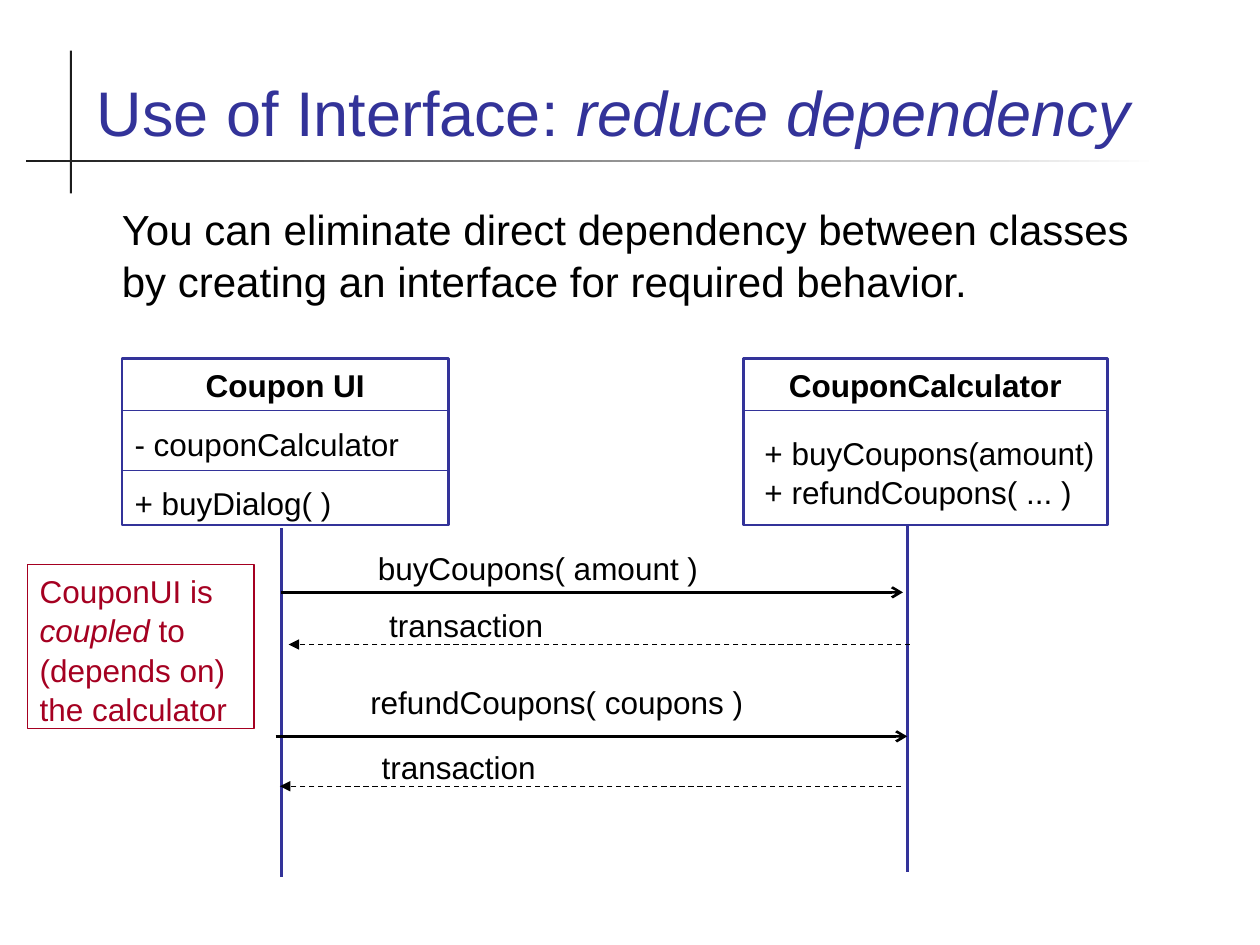
from typing import NamedTuple

from lxml.etree import SubElement
from pptx import Presentation
from pptx.dml.color import RGBColor
from pptx.enum.dml import MSO_LINE
from pptx.enum.shapes import MSO_CONNECTOR, MSO_SHAPE
from pptx.enum.text import MSO_ANCHOR, PP_ALIGN
from pptx.oxml.ns import qn
from pptx.util import Pt

FONT = "Arial"
LINE_SPACING = 1.04
BLUE, BLACK, RED, DARK, WHITE = "333399", "000000", "A50021", "1C1C1C", "FFFFFF"


class Run(NamedTuple):
    text: str
    italic: bool = False


class Para(NamedTuple):
    runs: list[Run]
    size: float = 18
    color: str = BLACK
    bold: bool = False
    align: PP_ALIGN = PP_ALIGN.LEFT
    before: float = 0


class Box(NamedTuple):
    x: float
    y: float
    w: float
    h: float


class ClassBox(NamedTuple):
    box: Box
    name: str
    members: list[str]
    dividers: list[float]


class Line(NamedTuple):
    x1: float
    y1: float
    x2: float
    y2: float
    color: str = BLUE
    width: float = 1.5
    arrow: str = ""
    dashed: bool = False


class Message(NamedTuple):
    text: str
    label: Box
    line: Line


def rgb(color: str) -> RGBColor:
    return RGBColor.from_string(color)


def write(s, paras: list[Para], anchor=MSO_ANCHOR.TOP) -> None:
    tf = s.text_frame
    tf.word_wrap = True
    tf.vertical_anchor = anchor
    for i, para in enumerate(paras):
        p = tf.paragraphs[0] if i == 0 else tf.add_paragraph()
        p.alignment = para.align
        p.space_before = Pt(para.before)
        p.line_spacing = LINE_SPACING
        p.font.name = FONT
        p.font.size = Pt(para.size)
        p.font.bold = para.bold
        p.font.color.rgb = rgb(para.color)
        for run in para.runs:
            for j, part in enumerate(run.text.split("\n")):
                if j:
                    p.add_line_break()
                r = p.add_run()
                r.text = part
                if run.italic:
                    r.font.italic = True


def add_text(sp, box: Box, paras: list[Para], anchor=MSO_ANCHOR.TOP) -> None:
    write(sp.add_textbox(*map(Pt, box)), paras, anchor)


def add_rect(sp, box: Box):
    s = sp.add_shape(MSO_SHAPE.RECTANGLE, *map(Pt, box))
    s.shadow.inherit = False
    return s


def add_frame(sp, box: Box, color: str, width: float, paras: list[Para]) -> None:
    s = add_rect(sp, box)
    s.fill.background()
    s.line.color.rgb = rgb(color)
    s.line.width = Pt(width)
    write(s, paras)


def add_line(sp, line: Line) -> None:
    ends = map(Pt, (line.x1, line.y1, line.x2, line.y2))
    s = sp.add_connector(MSO_CONNECTOR.STRAIGHT, *ends)
    s.line.color.rgb = rgb(line.color)
    s.line.width = Pt(line.width)
    if line.dashed:
        s.line.dash_style = MSO_LINE.DASH
    if line.arrow:
        SubElement(s.line._get_or_add_ln(), qn("a:tailEnd"), type=line.arrow)
    SubElement(s._element.spPr, qn("a:effectLst"))


def add_class(sp, c: ClassBox) -> None:
    title = Para([Run(c.name)], bold=True, align=PP_ALIGN.CENTER)
    members = [Para([Run(m)], before=11.2) for m in c.members]
    add_frame(sp, c.box, BLUE, 1.5, [title, *members])
    for y in c.dividers:
        add_line(sp, Line(c.box.x, y, c.box.x + c.box.w, y, width=0.75))


def add_message(sp, m: Message) -> None:
    add_line(sp, m.line)
    add_text(sp, m.label, [Para([Run(m.text)])])


def call(x1: float, x2: float, y: float) -> Line:
    return Line(x1, y, x2, y, BLACK, 1.5, "arrow")


def reply(x1: float, x2: float, y: float) -> Line:
    return Line(x1, y, x2, y, BLACK, 0.75, "triangle", True)


def add_title_rules(sp) -> None:
    upright = add_rect(sp, Box(40, 29, 1.2, 81.5))
    upright.fill.solid()
    upright.fill.fore_color.rgb = rgb(DARK)
    fading = add_rect(sp, Box(15, 91.2, 647, 1.3))
    fading.fill.gradient()
    fading.fill.gradient_angle = 0
    for stop, color, position in zip(fading.fill.gradient_stops, (DARK, WHITE), (0, 1)):
        stop.color.rgb = rgb(color)
        stop.position = position
    for s in (upright, fading):
        s.line.fill.background()


CLASSES = [
    ClassBox(Box(69.8, 205, 186.5, 95), "Coupon UI",
             ["- couponCalculator", "+ buyDialog( )"], [234.5, 269]),
    ClassBox(Box(424.8, 205, 208, 95), "CouponCalculator", [], [234.5]),
]
LIFELINES = [Line(161, 302, 161, 501), Line(518.4, 300, 518.4, 498.5)]
MESSAGES = [
    Message("buyCoupons( amount )", Box(208.8, 309.6, 199.5, 29), call(160.5, 516, 338.5)),
    Message("transaction", Box(215.3, 342, 267, 29), reply(520, 165, 368.3)),
    Message("refundCoupons( coupons )", Box(204.5, 386, 267, 29), call(157.5, 518.4, 420.8)),
    Message("transaction", Box(211, 422.8, 267, 29), reply(515, 160, 449.3)),
]


def main() -> None:
    prs = Presentation()
    prs.slide_width, prs.slide_height = Pt(720), Pt(540)
    sp = prs.slides.add_slide(prs.slide_layouts[6]).shapes

    add_title_rules(sp)
    title = [Run("Use of Interface: "), Run("reduce dependency", True)]
    add_text(sp, Box(48.2, 20, 623.5, 68.5), [Para(title, 36, BLUE)], MSO_ANCHOR.BOTTOM)
    intro = ("You can eliminate direct dependency between classes "
             "by creating an interface for required behavior.")
    add_text(sp, Box(62.6, 111.6, 595, 65), [Para([Run(intro)], 24)])

    for c in CLASSES:
        add_class(sp, c)
    methods = "+ buyCoupons(amount)\n+ refundCoupons( ... )"
    add_text(sp, Box(429.8, 243.5, 205, 50.5), [Para([Run(methods)])])

    for line in LIFELINES:
        add_line(sp, line)
    for m in MESSAGES:
        add_message(sp, m)

    note = [Run("CouponUI is "), Run("coupled", True),
            Run(" to (depends on) the calculator")]
    add_frame(sp, Box(15.6, 322.6, 129.6, 93.6), RED, 0.75, [Para(note, color=RED)])
    prs.save("out.pptx")


if __name__ == "__main__":
    main()
